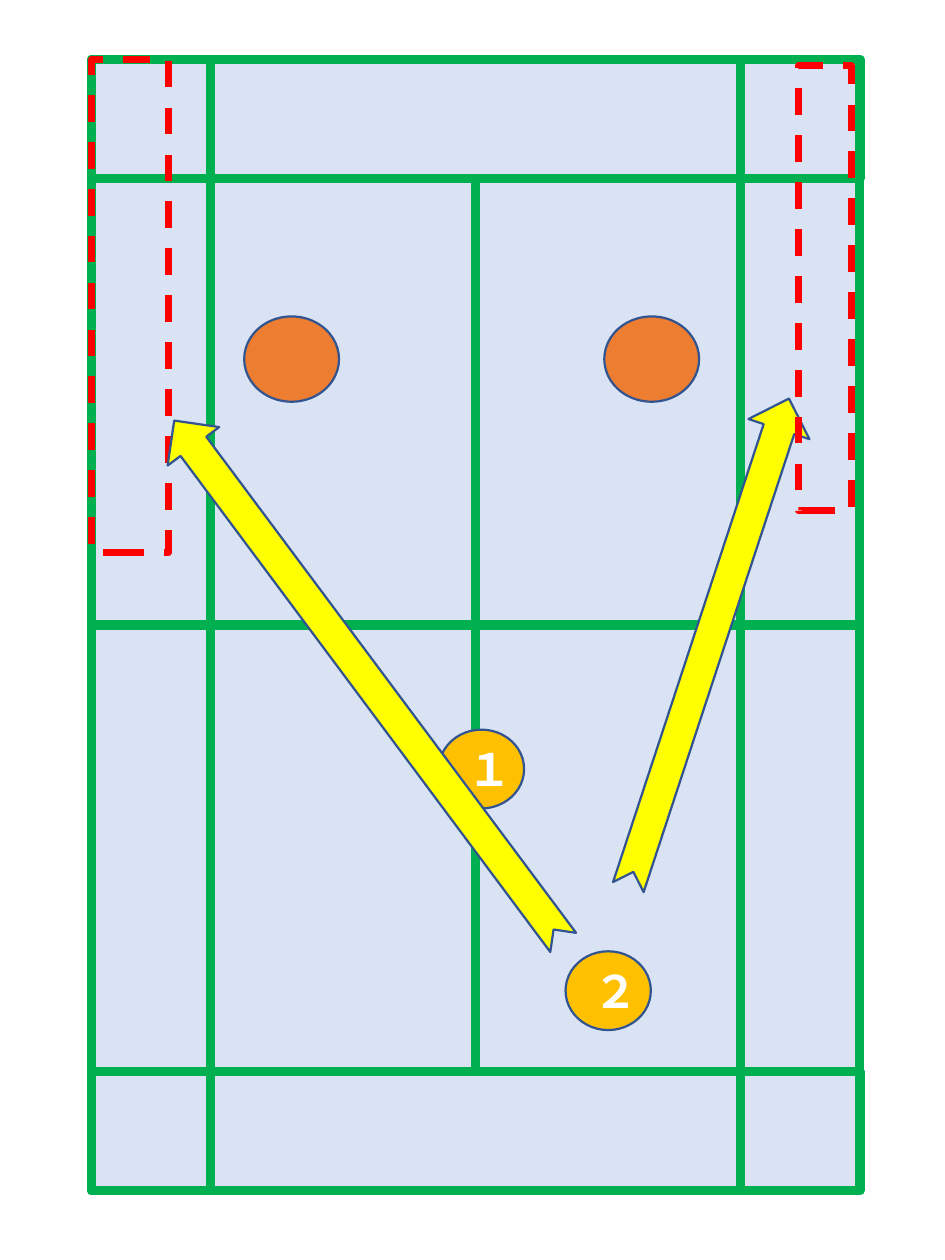
from itertools import product

from pptx import Presentation
from pptx.dml.color import RGBColor
from pptx.enum.dml import MSO_LINE
from pptx.enum.shapes import MSO_SHAPE
from pptx.enum.text import PP_ALIGN
from pptx.util import Pt

HUES = {
    "court": "DAE3F3", "green": "00B050", "edge": "325491",
    "team": "FFC000", "rival": "ED7D31", "shot": "FFFF00",
    "zone": "FF0000", "white": "FFFFFF",
}
COURT = (41, 26.6, 344.2, 506.9)
LANE = 53.4  # width of side lanes, depth of back lanes


def hue(name):
    return RGBColor.from_string(HUES[name])


def draw(slide, kind, box, fill, line, width):
    shape = slide.shapes.add_shape(kind, *(Pt(n) for n in box))
    shape.shadow.inherit = False
    if fill:
        shape.fill.solid()
        shape.fill.fore_color.rgb = hue(fill)
    else:
        shape.fill.background()
    shape.line.color.rgb = hue(line)
    shape.line.width = Pt(width)
    return shape


def shift(box, left, top, wide, high):
    return box[0] + left, box[1] + top, wide, high


def edges(size):
    return 0, LANE, size / 2, size - LANE, size


def add_court(slide, box):
    def cell(*spot):
        draw(slide, MSO_SHAPE.RECTANGLE, shift(box, *spot),
             "court", "green", 4.25)

    wide, high = box[2:]
    cols, rows = edges(wide), edges(high)

    # Back lanes across the full width
    for top in (0, high - LANE):
        cell(0, top, wide, LANE)

    # Corners, side lanes and service boxes
    for row, col in product(range(4), range(4)):
        if row in (0, 3) and col in (1, 2):
            continue
        cell(cols[col], rows[row],
             cols[col + 1] - cols[col], rows[row + 1] - rows[row])


def add_team(slide, box):
    # Numbered players on the near side
    for mark, left, top in (("１", 155.6, 300.3), ("２", 212.4, 399.6)):
        disc = draw(slide, MSO_SHAPE.OVAL, shift(box, left, top, 38.2, 35.3),
                    "team", "edge", 1)
        para = disc.text_frame.paragraphs[0]
        para.alignment = PP_ALIGN.CENTER
        run = para.add_run()
        run.text = mark
        run.font.name = "Calibri"
        run.font.size = Pt(20)
        run.font.bold = True
        run.font.color.rgb = hue("white")


def add_rivals(slide, box):
    # Players on the far side
    for left in (229.7, 68.4):
        draw(slide, MSO_SHAPE.OVAL, shift(box, left, 115.2, 42.5, 38.2),
             "rival", "edge", 1)


def add_shot(slide, box, left, top, size, turn):
    arrow = draw(slide, MSO_SHAPE.NOTCHED_RIGHT_ARROW,
                 shift(box, left, top, size, 28.8), "shot", "edge", 1)
    arrow.rotation = turn


def add_zones(slide, box):
    # Dashed target areas along the side lines
    for spot in ((316.8, 2.9, 23.8, 199.4), (0, 0, 34.6, 221)):
        zone = draw(slide, MSO_SHAPE.RECTANGLE, shift(box, *spot),
                    None, "zone", 3)
        zone.line.dash_style = MSO_LINE.DASH


def main():
    deck = Presentation()
    deck.slide_width, deck.slide_height = Pt(423.36), Pt(564.48)
    slide = deck.slides.add_slide(deck.slide_layouts[6])
    add_court(slide, COURT)
    add_team(slide, COURT)
    add_rivals(slide, COURT)
    # The right shot lies under the zones, the left one above
    add_shot(slide, COURT, 161.3, 247, 230.4, 288.2)
    add_zones(slide, COURT)
    add_shot(slide, COURT, -21.6, 264.3, 291.6, 233.3)
    deck.save("out.pptx")


if __name__ == "__main__":
    main()
